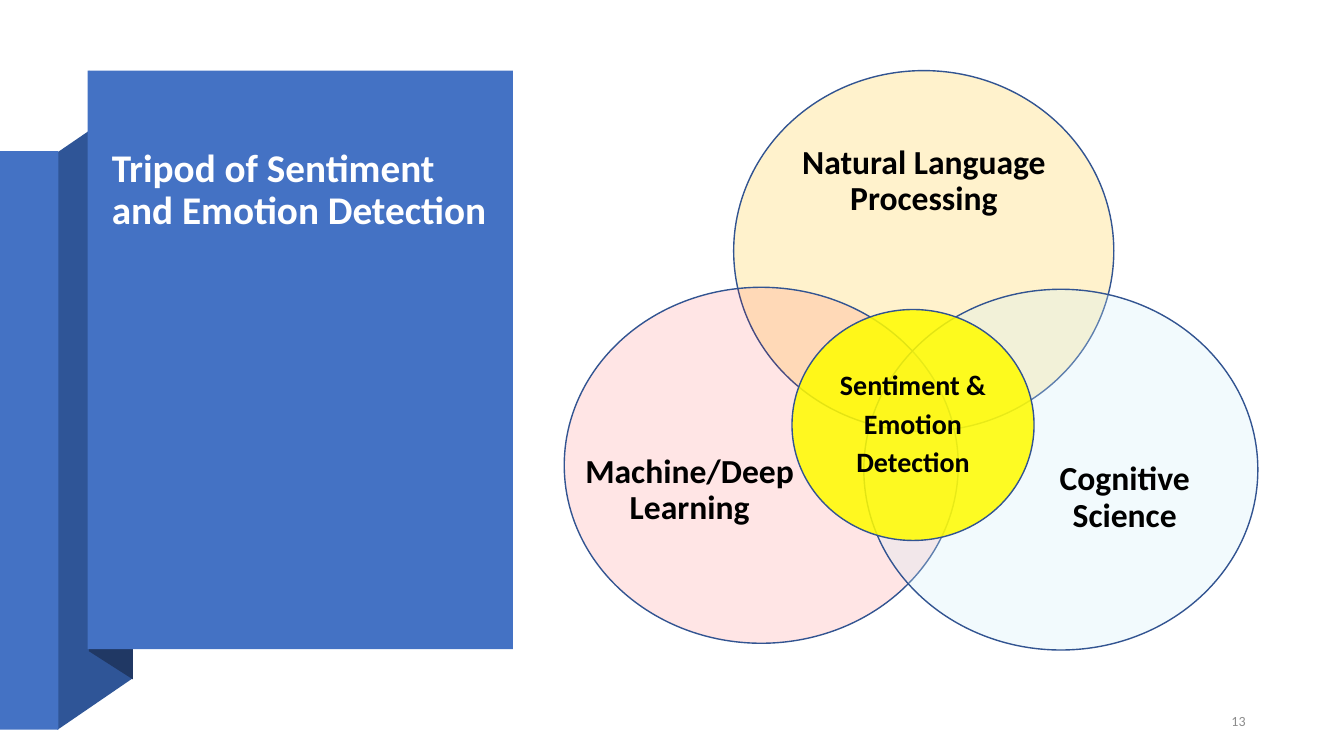
from lxml import etree
from pptx import Presentation
from pptx.dml.color import RGBColor
from pptx.enum.shapes import MSO_SHAPE
from pptx.enum.text import MSO_ANCHOR, PP_ALIGN
from pptx.oxml.ns import qn
from pptx.util import Cm, Pt

RECT, OVAL = MSO_SHAPE.RECTANGLE, MSO_SHAPE.OVAL
TOP, MID = MSO_ANCHOR.TOP, MSO_ANCHOR.MIDDLE
LEFT, MIDDLE, RIGHT = PP_ALIGN.LEFT, PP_ALIGN.CENTER, PP_ALIGN.RIGHT

BLUE, SHADE, DARK, EDGE = "4472C4", "2F5597", "203864", "325491"
WHITE, BLACK, GRAY = "FFFFFF", "000000", "8C8C8C"


def color(code):
    return RGBColor.from_string(code)


def write(shape, text, size=24, ink=BLACK, bold=True, align=MIDDLE,
          anchor=TOP, line=0.9, after=0):
    """Fill a shape with text, one paragraph for each line."""
    frame = shape.text_frame
    frame.word_wrap = True
    frame.vertical_anchor = anchor
    frame.text = text
    for para in frame.paragraphs:
        para.alignment = align
        para.line_spacing = line
        para.space_after = Pt(after)
        font = para.font
        font.name, font.size, font.bold = "Calibri", Pt(size), bold
        font.color.rgb = color(ink)


class Deck:
    def __init__(self):
        self.show = Presentation()
        self.show.slide_width, self.show.slide_height = Cm(33.87), Cm(19.05)
        self.slide = self.show.slides.add_slide(self.show.slide_layouts[6])
        self.shapes = self.slide.shapes

    def paint(self, shape, fill, alpha=100, edge=None):
        shape.shadow.inherit = False
        shape.fill.solid()
        shape.fill.fore_color.rgb = color(fill)
        if alpha < 100:
            tone = shape.fill._xPr.find(".//" + qn("a:srgbClr"))
            etree.SubElement(tone, qn("a:alpha"), val=str(alpha * 1000))
        if edge:
            shape.line.color.rgb = color(edge)
            shape.line.width = Pt(1)
        else:
            shape.line.fill.background()
        return shape

    def panel(self, box, fill):
        return self.paint(self.shapes.add_shape(RECT, *map(Cm, box)), fill)

    def oval(self, box, fill, alpha=100):
        shape = self.shapes.add_shape(OVAL, *map(Cm, box))
        return self.paint(shape, fill, alpha, EDGE)

    def fold(self, points, fill):
        first, *rest = [(Cm(x), Cm(y)) for x, y in points]
        pen = self.shapes.build_freeform(*first, scale=1.0)
        pen.add_line_segments(rest, close=True)
        return self.paint(pen.convert_to_shape(), fill)

    def label(self, box, text, **style):
        write(self.shapes.add_textbox(*map(Cm, box)), text, **style)


def main():
    deck = Deck()

    # Folded ribbon and title panel
    deck.fold([(1.45, 18.39), (3.35, 17.09), (3.35, 2.54), (1.45, 3.84)], SHADE)
    deck.panel((0, 3.81, 1.47, 14.58), BLUE)
    deck.fold([(2.24, 16.41), (3.35, 17.12), (3.35, 2.51), (2.24, 1.78)], DARK)
    deck.panel((2.21, 1.78, 10.72, 14.58), BLUE)
    deck.label((2.57, 2.77, 10.16, 4.09),
               "Tripod of Sentiment and Emotion Detection",
               size=28, ink=WHITE, align=LEFT, anchor=MID)

    # Slide number
    deck.label((29.74, 17.73, 1.9, 0.89), "13", size=10, ink=GRAY,
               bold=False, align=RIGHT, anchor=MID, line=1.0)

    # Three overlapping fields
    deck.oval((18.49, 1.78, 9.58, 9.09), "FFF2CC")
    deck.oval((14.22, 7.24, 9.93, 8.97), "FF0000", 10)
    deck.oval((21.77, 7.29, 9.93, 9.09), "D2EFFA", 28)
    for box, text in [
        ((19.9, 3.53, 6.77, 2.18), "Natural Language Processing"),
        ((14.33, 11.33, 6.1, 2.18), "Machine/Deep Learning"),
        ((26.16, 11.51, 4.37, 2.18), "Cognitive Science"),
    ]:
        deck.label(box, text)

    # Shared centre
    core = deck.oval((19.96, 7.8, 6.1, 5.82), "FFFC00", 86)
    write(core, "Sentiment &\nEmotion\nDetection", size=20, anchor=MID, after=6)

    deck.show.save("out.pptx")


if __name__ == "__main__":
    main()
